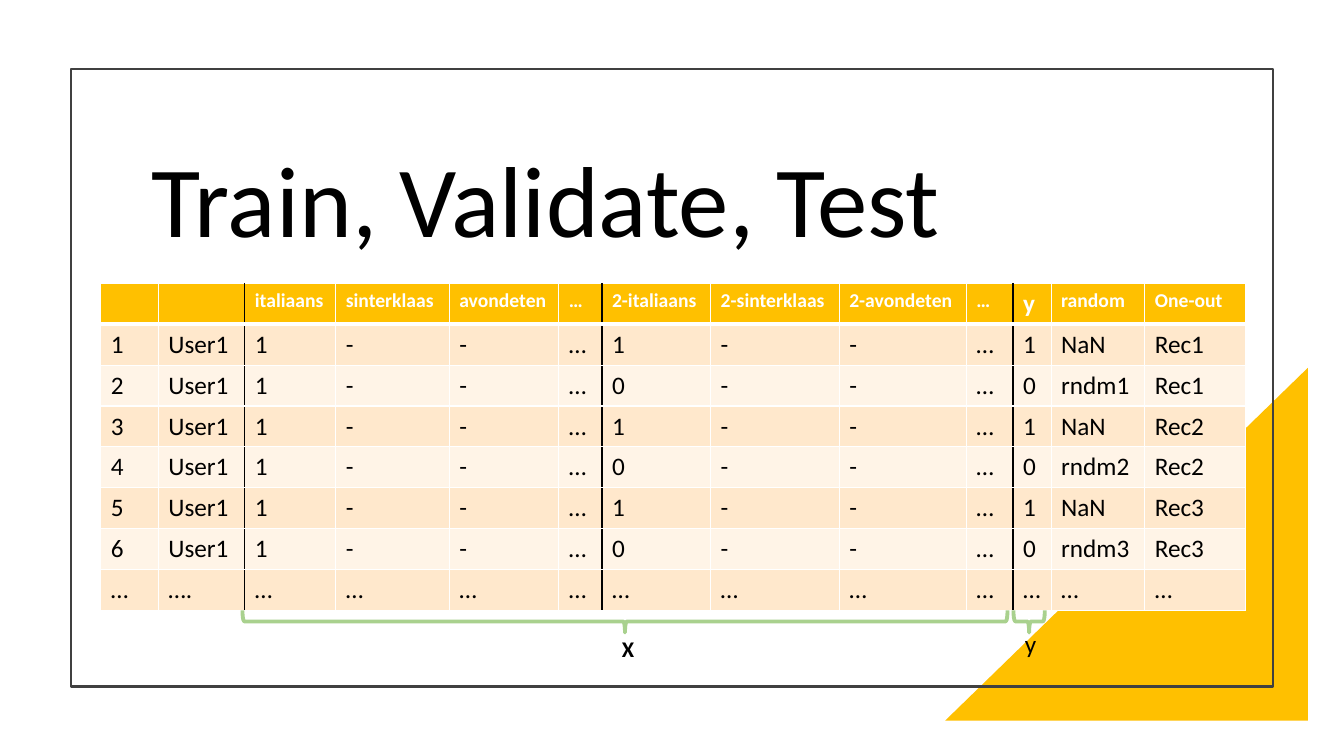
import lxml.etree
import pptx
import pptx.dml.color
import pptx.enum.shapes
import pptx.enum.text
import pptx.oxml.ns
import pptx.util

Cm = pptx.util.Cm
Pt = pptx.util.Pt
RGBColor = pptx.dml.color.RGBColor
MSO_SHAPE = pptx.enum.shapes.MSO_SHAPE
MSO_ANCHOR = pptx.enum.text.MSO_ANCHOR
qn = pptx.oxml.ns.qn

AMBER = RGBColor(0xFF, 0xC0, 0x00)
BAND_DARK = RGBColor(0xFF, 0xE8, 0xCC)
BAND_LIGHT = RGBColor(0xFF, 0xF4, 0xE7)
WHITE = RGBColor(0xFF, 0xFF, 0xFF)
BLACK = RGBColor(0x00, 0x00, 0x00)
FRAME_GREY = RGBColor(0x40, 0x40, 0x40)
BRACE_GREEN = RGBColor(0xA9, 0xD1, 0x8E)

FONT = "Calibri"
COLUMN_WIDTHS = [1.45, 2.18, 2.29, 2.86, 2.76, 1.09, 2.74, 3.24, 3.2, 1.18, 0.96, 2.36, 2.54]
ROW_HEIGHT = 1.03
GROUP_STARTS = {2, 6, 10}
WORDS = ["italiaans", "sinterklaas", "avondeten"]
HEADER = ["", "", *WORDS, "…", *["2-" + word for word in WORDS], "…", "y", "random", "One-out"]


def user_rows():
    rows = []
    for number in range(1, 7):
        pair = (number + 1) // 2
        target, random_pick = ("1", "NaN") if number % 2 else ("0", f"rndm{pair}")
        rows.append([str(number), "User1", "1", "-", "-", "…", target, "-", "-", "…",
                     target, random_pick, f"Rec{pair}"])
    return rows + [["…", "…."] + ["…"] * 11]


def style_text(paragraph, size, color, bold=False):
    for run in paragraph.runs:
        run.font.name = FONT
        run.font.size = Pt(size)
        run.font.color.rgb = color
        run.font.bold = bold


def add_outline(slide, kind, left, top, width, height, color, weight):
    outline = slide.shapes.add_shape(kind, Cm(left), Cm(top), Cm(width), Cm(height))
    outline.shadow.inherit = False
    outline.fill.background()
    outline.line.color.rgb = color
    outline.line.width = Pt(weight)
    return outline


def add_text(slide, left, top, width, height, text, size, bold=False, wrap=False):
    box = slide.shapes.add_textbox(Cm(left), Cm(top), Cm(width), Cm(height))
    box.text_frame.word_wrap = wrap
    box.text_frame.text = text
    style_text(box.text_frame.paragraphs[0], size, BLACK, bold)
    return box


def add_backdrop(slide, left, top, width, height):
    corner = slide.shapes.add_shape(MSO_SHAPE.RIGHT_TRIANGLE, Cm(left + 22.04), Cm(top + 7.54),
                                    Cm(9.14), Cm(8.89))
    corner.shadow.inherit = False
    corner.fill.solid()
    corner.fill.fore_color.rgb = AMBER
    corner.line.fill.background()
    corner._element.spPr.find(qn("a:xfrm")).set("flipH", "1")
    add_outline(slide, MSO_SHAPE.RECTANGLE, left, top, width, height, FRAME_GREY, 1.5)


def add_title(slide, left, top, width, height):
    title = add_text(slide, left, top, width, height, "Train, Validate, Test", 72, wrap=True)
    title.text_frame.vertical_anchor = MSO_ANCHOR.MIDDLE
    title.text_frame.paragraphs[0].line_spacing = 0.9


def set_border(cell, side, color, weight):
    border = lxml.etree.SubElement(cell._tc.get_or_add_tcPr(), qn(f"a:{side}"), w=str(Pt(weight)))
    fill = lxml.etree.SubElement(border, qn("a:solidFill"))
    lxml.etree.SubElement(fill, qn("a:srgbClr"), val=str(color))


def style_cell(cell, row, column):
    is_header = row == 0
    set_border(cell, "lnL", BLACK if column in GROUP_STARTS else WHITE, 1)
    set_border(cell, "lnR", BLACK if column + 1 in GROUP_STARTS else WHITE, 1)
    set_border(cell, "lnT", WHITE, 3 if row == 1 else 1)
    set_border(cell, "lnB", WHITE, 3 if is_header else 1)
    cell.fill.solid()
    cell.fill.fore_color.rgb = AMBER if is_header else BAND_DARK if row % 2 else BAND_LIGHT
    size = 14 if is_header and cell.text != "y" else 18
    style_text(cell.text_frame.paragraphs[0], size, WHITE if is_header else BLACK, is_header)


def add_feature_table(slide, left, top):
    rows = [HEADER] + user_rows()
    frame = slide.shapes.add_table(len(rows), len(HEADER), Cm(left), Cm(top),
                                   Cm(sum(COLUMN_WIDTHS)), Cm(ROW_HEIGHT * len(rows)))
    features = frame.table
    for column, width in enumerate(COLUMN_WIDTHS):
        features.columns[column].width = Cm(width)
    for row, values in enumerate(rows):
        features.rows[row].height = Cm(ROW_HEIGHT)
        for column, value in enumerate(values):
            cell = features.cell(row, column)
            cell.text = value
            style_cell(cell, row, column)


def add_brace(slide, left, top, width, height):
    brace = add_outline(slide, MSO_SHAPE.RIGHT_BRACE, left + (width - height) / 2,
                        top + (height - width) / 2, height, width, BRACE_GREEN, 2.75)
    brace.rotation = 90
    brace.adjustments[0] = 0.08
    brace.adjustments[1] = 0.5


def add_braces(slide, left, top):
    add_brace(slide, left, top, 19.28, 0.56)
    add_text(slide, left + 9.31, top + 0.5, 0.79, 0.94, "X", 16, bold=True)
    add_brace(slide, left + 19.43, top, 0.79, 0.56)
    add_text(slide, left + 19.47, top + 0.34, 0.89, 1.02, "y", 18)


def main():
    deck = pptx.Presentation()
    deck.slide_width = Cm(33.87)
    deck.slide_height = Cm(19.05)
    slide = deck.slides.add_slide(deck.slide_layouts[6])
    add_backdrop(slide, 1.78, 1.73, 30.3, 15.57)
    add_title(slide, 3.58, 2.92, 22.43, 4.5)
    add_feature_table(slide, 2.54, 7.14)
    add_braces(slide, 6.11, 15.38)
    deck.save("out.pptx")


if __name__ == "__main__":
    main()
